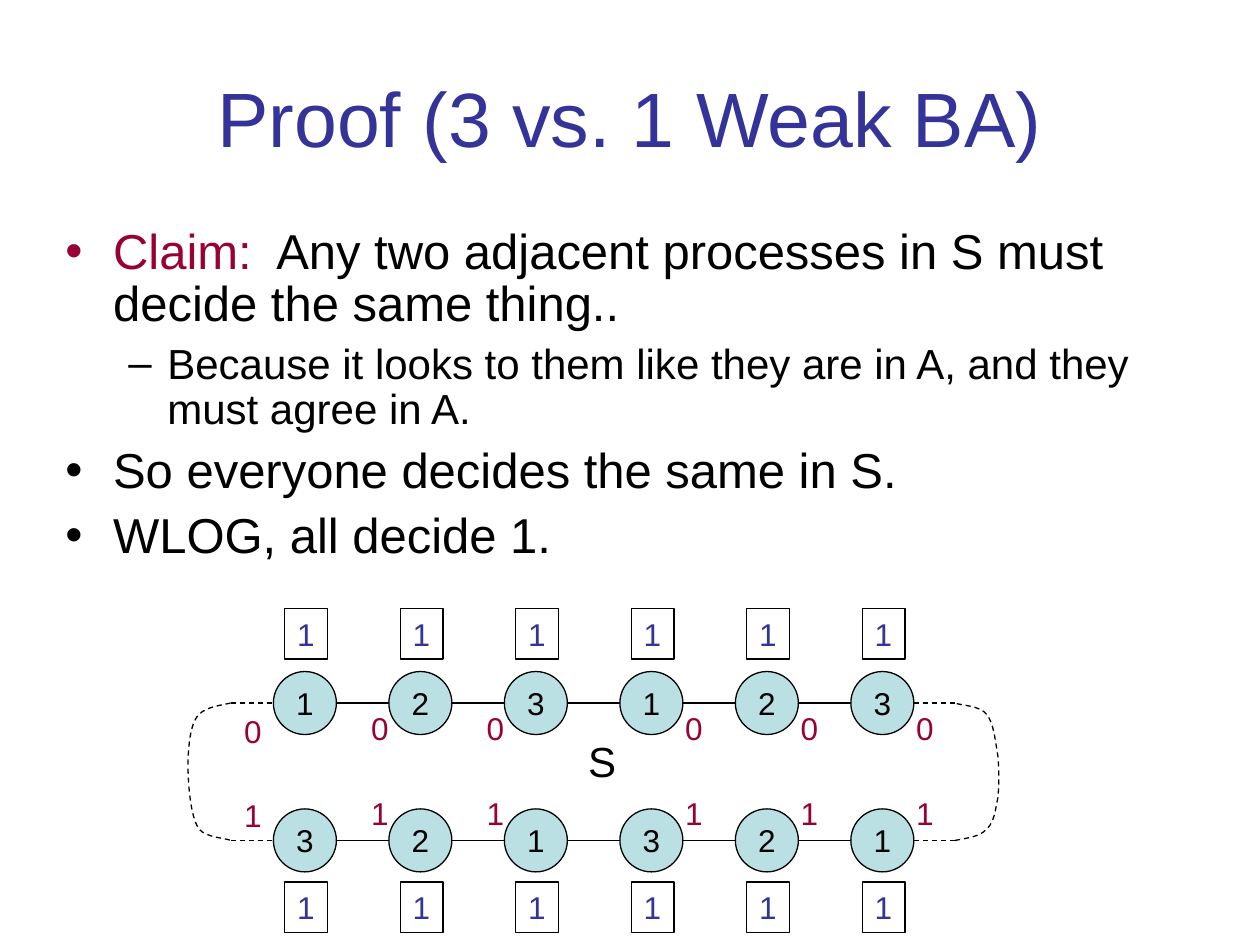
from lxml import etree
from pptx import Presentation
from pptx.dml.color import RGBColor
from pptx.enum.dml import MSO_LINE
from pptx.enum.shapes import MSO_CONNECTOR, MSO_SHAPE
from pptx.enum.text import MSO_ANCHOR, PP_ALIGN
from pptx.oxml.ns import qn
from pptx.util import Inches, Pt

BLACK = RGBColor(0x00, 0x00, 0x00)
BLUE = RGBColor(0x33, 0x33, 0x99)
RED = RGBColor(0x99, 0x00, 0x33)
TEAL = RGBColor(0xBB, 0xE0, 0xE3)

prs = Presentation()
prs.slide_width, prs.slide_height = Inches(10), Inches(7.5)
s = prs.slides.add_slide(prs.slide_layouts[6])


def add_text(sp, text, size, color, align=PP_ALIGN.LEFT):
    tf = sp.text_frame
    tf.word_wrap = False
    p = tf.paragraphs[0]
    p.alignment = align
    r = p.add_run()
    r.text = text
    r.font.name, r.font.size, r.font.color.rgb = "Arial", Pt(size), color
    return tf


def add_line(x1, x2, y, dashed=False):
    sp = s.shapes.add_connector(MSO_CONNECTOR.STRAIGHT, Inches(x1), Inches(y), Inches(x2), Inches(y))
    sp.line.color.rgb, sp.line.width = BLACK, Pt(0.75)
    if dashed:
        sp.line.dash_style = MSO_LINE.DASH
    etree.SubElement(sp._element.spPr, qn("a:effectLst"))


# Title
sp = s.shapes.add_textbox(Inches(0.5), Inches(0.3), Inches(9), Inches(1.25))
tf = add_text(sp, "Proof (3 vs. 1 Weak BA)", 44, BLUE, PP_ALIGN.CENTER)
tf.word_wrap = True
tf.vertical_anchor = MSO_ANCHOR.MIDDLE

# Bullets: level, space before, bullet colour, runs
bullets = [
    (0, 0, RED, [("Claim:", RED),
                 ("  Any two adjacent processes in S must decide the same thing..", BLACK)]),
    (1, 6, BLACK, [("Because it looks to them like they are in A, and they must agree in A.", BLACK)]),
    (0, 7, BLACK, [("So everyone decides the same in S.", BLACK)]),
    (0, 7, BLACK, [("WLOG, all decide 1.", BLACK)]),
]
levels = [("•", 0.38, 0.38, 28), ("–", 0.81, 0.31, 24)]  # char, margin, hanging, size
tf = s.shapes.add_textbox(Inches(0.42), Inches(1.75), Inches(9.33), Inches(2.83)).text_frame
tf.word_wrap = True
for i, (level, before, bullet_color, runs) in enumerate(bullets):
    char, margin, hanging, size = levels[level]
    p = tf.add_paragraph() if i else tf.paragraphs[0]
    p.level = level
    p.line_spacing = 0.9
    p.space_before = Pt(before)
    pPr = p._p.get_or_add_pPr()
    pPr.set("marL", str(Inches(margin)))
    pPr.set("indent", str(-Inches(hanging)))
    buClr = etree.SubElement(pPr, qn("a:buClr"))
    etree.SubElement(buClr, qn("a:srgbClr"), val=str(bullet_color))
    etree.SubElement(pPr, qn("a:buFont"), typeface="Arial")
    etree.SubElement(pPr, qn("a:buChar"), char=char)
    for text, color in runs:
        r = p.add_run()
        r.text = text
        r.font.name, r.font.size, r.font.color.rgb = "Arial", Pt(size), color

# Ring of processes: node names, inputs and decisions for each row
LEFT, PITCH, NODE = 2.17, 5.5 / 6, 0.5
label_offsets = [-0.33, -0.24, -0.24, 0.42, 0.42, 0.42]
rows = [("123123", "0", 5.33, 5.58, 4.83), ("321321", "1", 6.42, 6.25, 7)]
for names, value, node_y, label_y, decision_y in rows:
    mid_y = node_y + NODE / 2
    add_line(LEFT - 0.34, LEFT, mid_y, dashed=True)
    for i, name in enumerate(names):
        x = LEFT + i * PITCH
        last = i == len(names) - 1
        add_line(x + NODE, 7.58 if last else x + PITCH, mid_y, dashed=last)

        # Process node
        sp = s.shapes.add_shape(MSO_SHAPE.OVAL, Inches(x), Inches(node_y), Inches(NODE), Inches(NODE))
        sp.shadow.inherit = False
        sp.fill.solid()
        sp.fill.fore_color.rgb = TEAL
        sp.line.color.rgb, sp.line.width = BLACK, Pt(0.75)
        add_text(sp, name, 18, BLACK, PP_ALIGN.CENTER).vertical_anchor = MSO_ANCHOR.MIDDLE

        # Input value, set slightly lower at the left end
        y = label_y + (0.02 if i == 0 else 0)
        sp = s.shapes.add_textbox(Inches(x + label_offsets[i]), Inches(y), Inches(0.34), Inches(0.4))
        add_text(sp, value, 18, RED)

        # Decision box
        sp = s.shapes.add_shape(MSO_SHAPE.RECTANGLE, Inches(x + 0.09), Inches(decision_y),
                                Inches(0.34), Inches(0.4))
        sp.shadow.inherit = False
        sp.fill.background()
        sp.line.color.rgb, sp.line.width = BLACK, Pt(0.75)
        add_text(sp, "1", 18, BLUE).vertical_anchor = MSO_ANCHOR.TOP

# Ring name
sp = s.shapes.add_textbox(Inches(4.57), Inches(5.79), Inches(0.42), Inches(0.5))
add_text(sp, "S", 24, BLACK)

# Dashed ends of the ring: start point, then three points per Bezier curve
ring_ends = [
    [(1.83, 5.58), (1.74, 5.6), (1.64, 5.61), (1.58, 5.67), (1.53, 5.72), (1.51, 5.82), (1.5, 5.92),
     (1.49, 6.01), (1.49, 6.14), (1.5, 6.25), (1.51, 6.36), (1.53, 6.51), (1.58, 6.58),
     (1.64, 6.65), (1.79, 6.65), (1.83, 6.67)],
    [(7.58, 6.67), (7.68, 6.65), (7.78, 6.64), (7.83, 6.58), (7.89, 6.53), (7.9, 6.43), (7.92, 6.33),
     (7.93, 6.23), (7.93, 6.11), (7.92, 6), (7.9, 5.89), (7.89, 5.74), (7.83, 5.67),
     (7.78, 5.6), (7.63, 5.6), (7.58, 5.58)],
]
for points in ring_ends:
    start, *rest = [(Inches(x), Inches(y)) for x, y in points]
    builder = s.shapes.build_freeform(*start)
    builder.add_line_segments(rest, close=False)
    sp = builder.convert_to_shape()
    sp.shadow.inherit = False
    sp.fill.background()
    sp.line.color.rgb, sp.line.width = BLACK, Pt(0.75)
    sp.line.dash_style = MSO_LINE.DASH
    # Turn every three straight segments into one curve
    segments = list(sp._element.iter(qn("a:lnTo")))
    outline = segments[0].getparent()
    for i in range(0, len(segments), 3):
        curve = etree.SubElement(outline, qn("a:cubicBezTo"))
        for segment in segments[i:i + 3]:
            curve.append(segment[0])
            outline.remove(segment)

prs.save("out.pptx")
